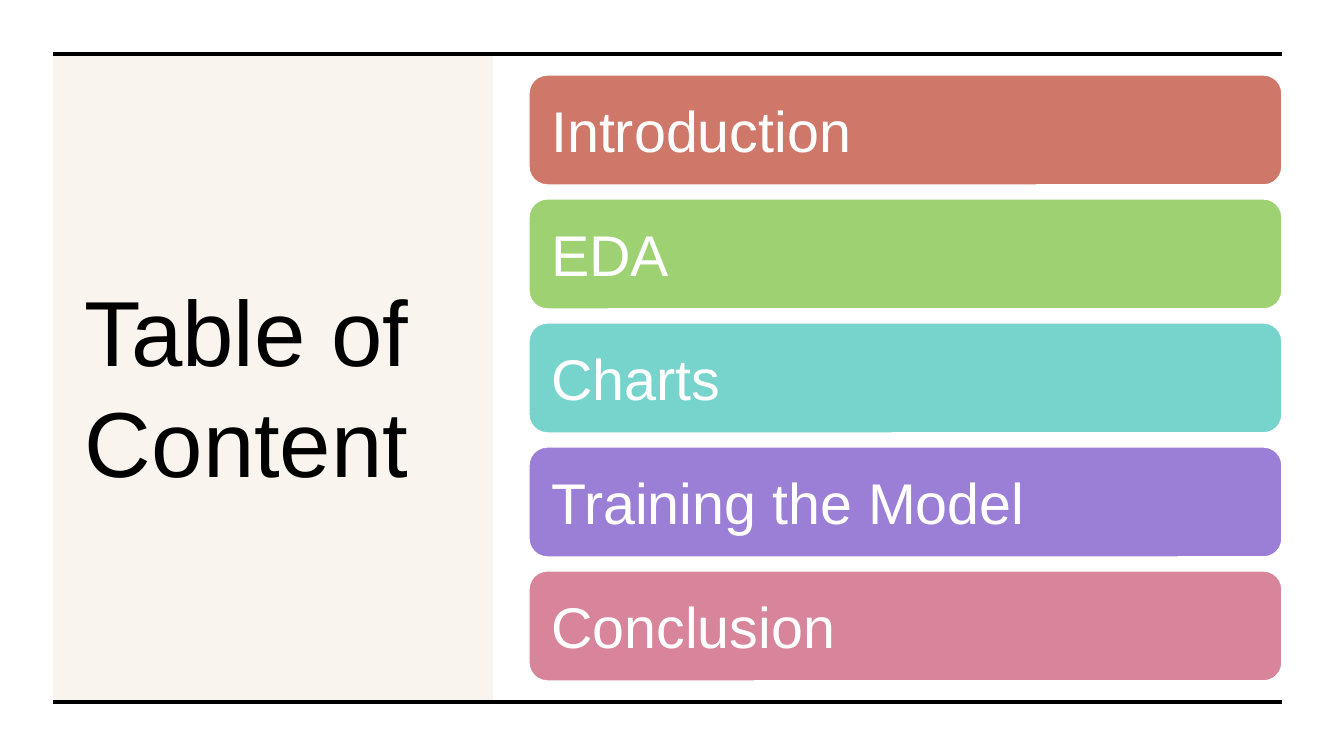
"""Build a table of contents slide with a title panel and five coloured topic bars."""
from lxml import etree
from pptx import Presentation
from pptx.dml.color import RGBColor
from pptx.enum.shapes import MSO_CONNECTOR, MSO_SHAPE
from pptx.enum.text import MSO_ANCHOR, PP_ALIGN
from pptx.oxml.ns import qn
from pptx.util import Pt

RECTANGLE = MSO_SHAPE.RECTANGLE
ROUNDED = MSO_SHAPE.ROUNDED_RECTANGLE
STRAIGHT = MSO_CONNECTOR.STRAIGHT
MIDDLE = MSO_ANCHOR.MIDDLE
LEFT = PP_ALIGN.LEFT

TITLE = "Table of Content"
TOPICS = [
    ("Introduction", "CF786A"),
    ("EDA", "9ED171"),
    ("Charts", "77D4CD"),
    ("Training the Model", "9B7ED6"),
    ("Conclusion", "D8859C"),
]

THEME = {
    "font": "Arial",
    "ink": "000000",
    "paper": "FFFFFF",
    "panel": "C99859",
    "panel_opacity": 10,
    "title_pt": 66,
    "topic_pt": 41,
    "rule_pt": 2.25,
    "outline_pt": 1,
}

EMU_PER_PX = 914400 / 100.8
SLIDE_SIZE = (1344, 756)
PANEL_BOX = (53, 54, 440, 647)
TITLE_BOX = (75, 108, 392, 554)
TITLE_INSETS = (10, 5, 10, 5)
RULE_SPAN = (53, 1282)
RULE_TOPS = (54, 702)
BAR_LEFT, BAR_TOP, BAR_WIDTH, BAR_HEIGHT = 529, 75, 753, 110
BAR_PITCH = 124
BAR_INSETS = (17, 17, 17, 17)


def px(length):
    return round(length * EMU_PER_PX)


def box(lengths):
    return [px(length) for length in lengths]


def color(name):
    return RGBColor.from_string(name)


def write(frame, words, size, ink, insets):
    frame.word_wrap = True
    frame.vertical_anchor = MIDDLE
    frame.margin_left, frame.margin_top, frame.margin_right, frame.margin_bottom = box(insets)
    line = frame.paragraphs[0]
    line.alignment = LEFT
    run = line.add_run()
    run.text = words
    run.font.name = THEME["font"]
    run.font.size = Pt(size)
    run.font.color.rgb = color(ink)


def add_filled(slide, kind, bounds, fill):
    shape = slide.shapes.add_shape(kind, *box(bounds))
    shape.shadow.inherit = False
    shape.fill.solid()
    shape.fill.fore_color.rgb = color(fill)
    shape.line.fill.background()
    return shape


def add_panel(slide):
    panel = add_filled(slide, RECTANGLE, PANEL_BOX, THEME["panel"])
    tint = panel.fill._xPr.find(qn("a:solidFill")).find(qn("a:srgbClr"))
    etree.SubElement(tint, qn("a:alpha")).set("val", str(THEME["panel_opacity"] * 1000))


def add_rule(slide, top):
    start, end = box(RULE_SPAN)
    rule = slide.shapes.add_connector(STRAIGHT, start, px(top), end, px(top))
    rule.line.color.rgb = color(THEME["ink"])
    rule.line.width = Pt(THEME["rule_pt"])
    etree.SubElement(rule._element.spPr, qn("a:effectLst"))


def add_topic(slide, index, topic, fill):
    bounds = (BAR_LEFT, BAR_TOP + index * BAR_PITCH, BAR_WIDTH, BAR_HEIGHT)
    bar = add_filled(slide, ROUNDED, bounds, fill)
    bar.line.color.rgb = color(THEME["paper"])
    bar.line.width = Pt(THEME["outline_pt"])
    write(bar.text_frame, topic, THEME["topic_pt"], THEME["paper"], BAR_INSETS)


def main():
    deck = Presentation()
    deck.slide_width, deck.slide_height = box(SLIDE_SIZE)
    slide = deck.slides.add_slide(deck.slide_layouts[6])
    add_panel(slide)
    title = slide.shapes.add_textbox(*box(TITLE_BOX))
    write(title.text_frame, TITLE, THEME["title_pt"], THEME["ink"], TITLE_INSETS)
    for top in RULE_TOPS:
        add_rule(slide, top)
    for index, (topic, fill) in enumerate(TOPICS):
        add_topic(slide, index, topic, fill)
    deck.save("out.pptx")


if __name__ == "__main__":
    main()
